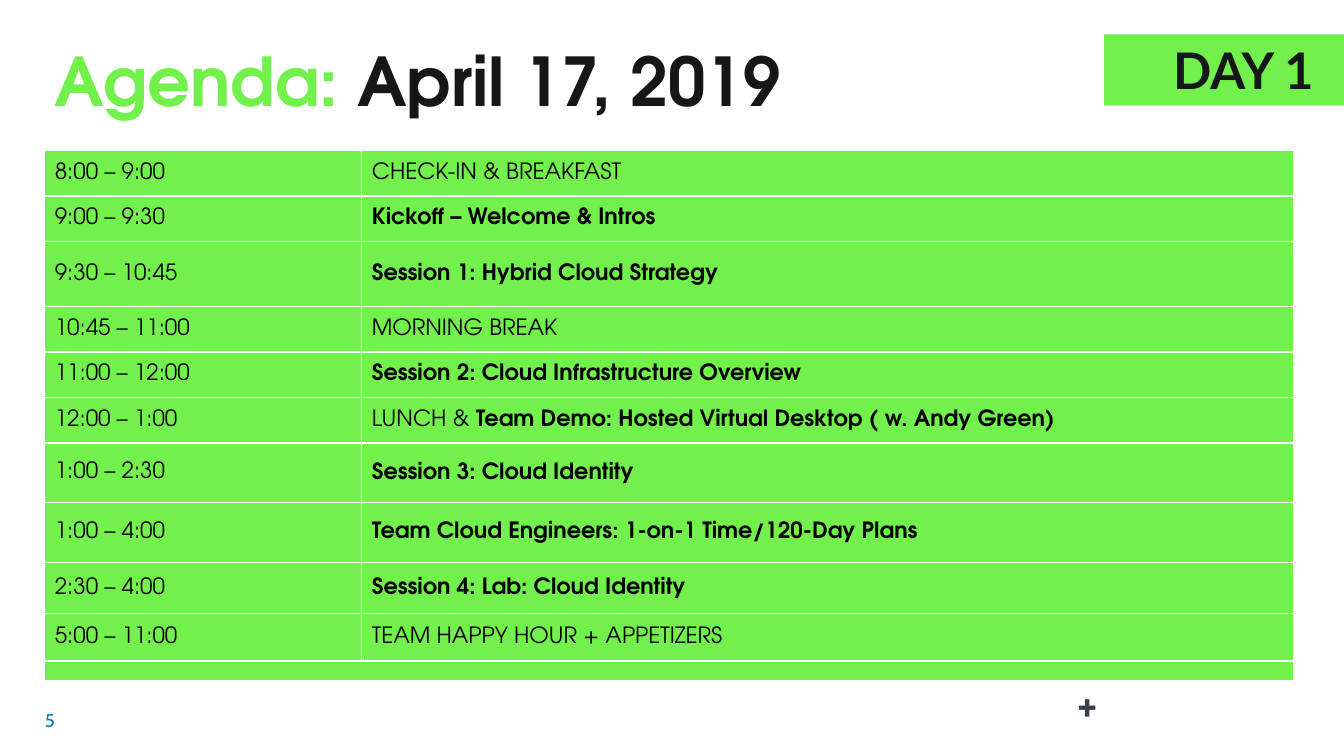
from lxml import etree
from pptx import Presentation
from pptx import util as u
from pptx.dml import color
from pptx.enum import shapes, text
from pptx.oxml import ns

Pt = u.Pt
GREEN, INK, BLACK, WHITE = "72F04B", "161718", "000000", "FFFFFF"
HEAD = "TeX Gyre Adventor"

# Each row: height, time, then (words, bold) runs
ROWS = [
    (32.5, "8:00 – 9:00", ("CHECK-IN & BREAKFAST", False)),
    (32.5, "9:00 – 9:30", ("Kickoff – Welcome & Intros", True)),
    (46.5, "9:30 – 10:45", ("Session 1: Hybrid Cloud Strategy", True)),
    (32.5, "10:45 – 11:00", ("MORNING BREAK", False)),
    (32.5, "11:00 – 12:00", ("Session 2: Cloud Infrastructure Overview", True)),
    (32.5, "12:00 – 1:00", ("LUNCH & ", False),
     ("Team Demo: Hosted Virtual Desktop ( w. Andy Green)", True)),
    (42.75, "1:00 – 2:30", ("Session 3: Cloud Identity", True)),
    (42.75, "1:00 – 4:00", ("Team Cloud Engineers: 1-on-1 Time/120-Day Plans", True)),
    (36.5, "2:30 – 4:00", ("Session 4: Lab: Cloud Identity", True)),
    (33.75, "5:00 – 11:00", ("TEAM HAPPY HOUR + APPETIZERS", False)),
]
FOOT = 13.75


def rgb(code):
    return color.RGBColor.from_string(code)


def paint(item, code):
    item.fill.solid()
    item.fill.fore_color.rgb = rgb(code)


class Deck:
    def __init__(self):
        self.prs = Presentation()
        self.prs.slide_width, self.prs.slide_height = Pt(960), Pt(540)
        self.slide = self.prs.slides.add_slide(self.prs.slide_layouts[5])

    def style(self, par, size, face, tint, bold=None):
        font = par.font
        font.size, font.name, font.bold = Pt(size), face, bold
        font.color.rgb = rgb(tint)

    def title(self, box, runs):
        shape = self.slide.shapes.title
        shape.left, shape.top, shape.width, shape.height = map(Pt, box)
        frame = shape.text_frame
        frame.auto_size = text.MSO_AUTO_SIZE.NONE
        frame.vertical_anchor = text.MSO_ANCHOR.TOP
        par = frame.paragraphs[0]
        par.alignment = text.PP_ALIGN.LEFT
        self.style(par, 48, HEAD, INK, True)
        for words, tint in runs:
            run = par.add_run()
            run.text = words
            run.font.color.rgb = rgb(tint)

    def label(self, box, words, size, face, tint, bold=False, side=7.2,
              anchor=text.MSO_ANCHOR.TOP):
        shape = self.slide.shapes.add_textbox(*map(Pt, box))
        frame = shape.text_frame
        frame.word_wrap = True
        frame.vertical_anchor = anchor
        frame.margin_left = frame.margin_right = Pt(side)
        par = frame.paragraphs[0]
        par.text = words
        self.style(par, size, face, tint, bold)

    def badge(self, box, words):
        shape = self.slide.shapes.add_shape(shapes.MSO_SHAPE.RECTANGLE, *map(Pt, box))
        shape.shadow.inherit = False
        paint(shape, GREEN)
        shape.line.fill.background()
        frame = shape.text_frame
        frame.word_wrap = True
        frame.vertical_anchor = text.MSO_ANCHOR.TOP
        frame.margin_right = Pt(21.6)
        par = frame.paragraphs[0]
        par.text = words
        par.alignment = text.PP_ALIGN.RIGHT
        self.style(par, 36, "Lato", INK, True)

    def cell(self, cell, runs):
        cell.vertical_anchor = text.MSO_ANCHOR.MIDDLE
        par = cell.text_frame.paragraphs[0]
        for words, bold in runs:
            run = par.add_run()
            run.text = words
            run.font.bold = bold
        self.style(par, 16, HEAD, BLACK)

    def border(self, cell):
        props = cell._tc.get_or_add_tcPr()
        for spot, side in enumerate(("lnL", "lnR", "lnT", "lnB")):
            line = etree.Element(ns.qn("a:" + side), w=str(Pt(1)))
            fill = etree.SubElement(line, ns.qn("a:solidFill"))
            etree.SubElement(fill, ns.qn("a:srgbClr"), val=WHITE)
            props.insert(spot, line)

    def table(self, left, top, cols, rows, foot):
        tall = [row[0] for row in rows] + [foot]
        grid = self.slide.shapes.add_table(
            len(tall), len(cols), Pt(left), Pt(top), Pt(sum(cols)), Pt(sum(tall))).table
        grid.first_row = grid.horz_banding = False
        for col, wide in zip(grid.columns, cols):
            col.width = Pt(wide)
        for row, high in zip(grid.rows, tall):
            row.height = Pt(high)
        for cell in grid.iter_cells():
            paint(cell, GREEN)
            self.border(cell)
        for num, (_, time, *runs) in enumerate(rows):
            self.cell(grid.cell(num, 0), [(time, False)])
            self.cell(grid.cell(num, 1), runs)
        # Thin closing band across both columns
        last = len(rows)
        for col in range(len(cols)):
            cell = grid.cell(last, col)
            cell.margin_top = cell.margin_bottom = 0
            par = cell.text_frame.paragraphs[0]
            etree.SubElement(par._p, ns.qn("a:endParaRPr"), sz="400")
        grid.cell(last, 0).merge(grid.cell(last, len(cols) - 1))


def main():
    deck = Deck()

    # Heading and day badge
    deck.title((32, 24.5, 599, 65.5), [("Agenda: ", GREEN), ("April 17, 2019", INK)])
    deck.badge((788.5, 24.5, 171.5, 51), "DAY 1")

    # Timetable
    deck.table(32, 107.5, (226.5, 665.5), ROWS, FOOT)

    # Page number and plus mark
    deck.label((32, 501, 19.5, 26), "5", 13.3, "Cabin", "0078BB",
               side=0, anchor=text.MSO_ANCHOR.MIDDLE)
    deck.label((763, 486.5, 119, 36), "+", 24, "Roboto", "38424F", True)

    deck.prs.save("out.pptx")


if __name__ == "__main__":
    main()
